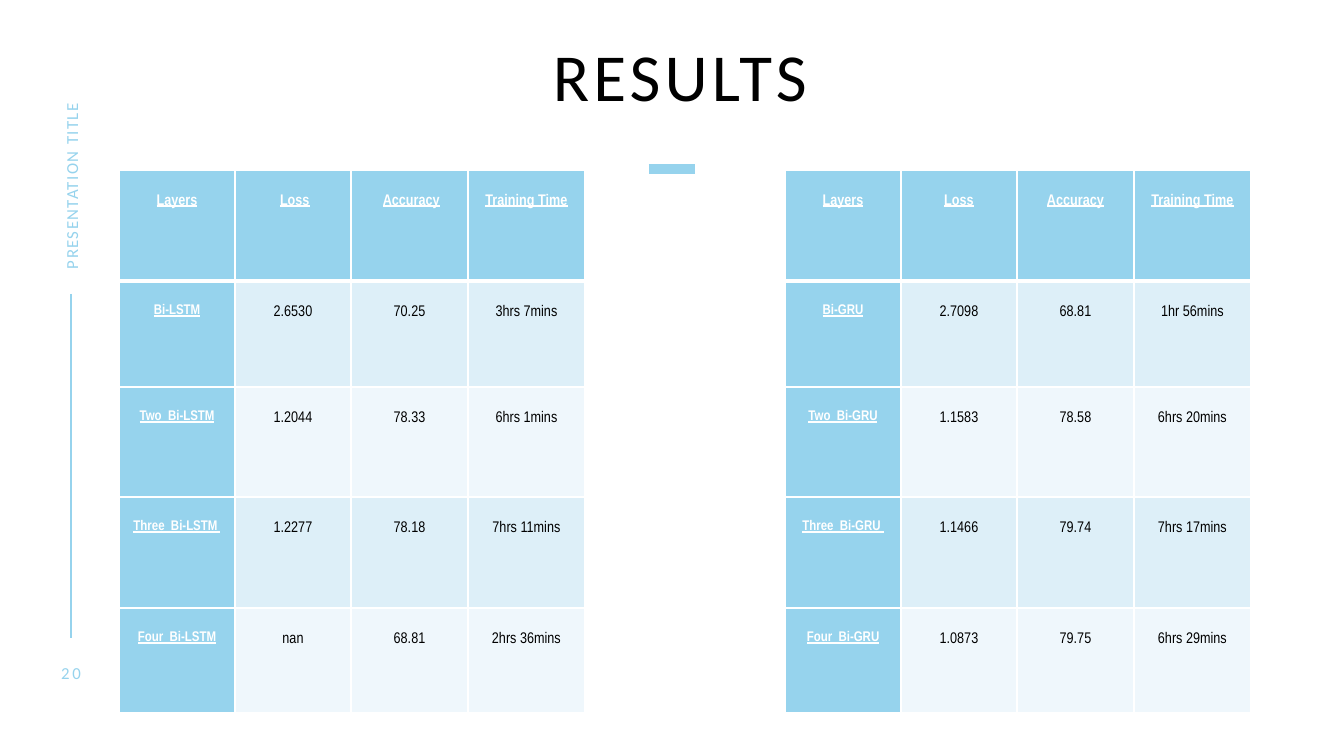
from lxml import etree
from pptx import Presentation
from pptx.dml.color import RGBColor
from pptx.enum.shapes import MSO_CONNECTOR
from pptx.enum.text import MSO_ANCHOR, PP_ALIGN
from pptx.oxml.ns import qn
from pptx.util import Emu, Pt

STRAIGHT = MSO_CONNECTOR.STRAIGHT
TOP, MIDDLE = MSO_ANCHOR.TOP, MSO_ANCHOR.MIDDLE
LEFT, CENTER = PP_ALIGN.LEFT, PP_ALIGN.CENTER

COLORS = {"accent": "96D3ED", "band": "DDEFF8", "pale": "EFF7FC",
          "white": "FFFFFF", "black": "000000"}

# text, box (x, y, w, h), rotation, alignment, anchor, letter spacing, line spacing, font
TEXTS = [
    ("20", (46, 663, 50, 20), 0, CENTER, MIDDLE, 2, 1.0,
     {"size": 12, "name": "Calibri", "color": "accent"}),
    ("PRESENTATION TITLE", (-27, 160, 197, 21), 270, LEFT, MIDDLE, 1, 1.0,
     {"size": 12, "name": "Calibri", "color": "accent"}),
    ("RESULTS", (462, 43, 436, 58), 0, CENTER, TOP, 3, 0.9,
     {"size": 48, "name": "Calibri", "color": "black"}),
]

# start x, start y, end x, end y, width in points
LINES = [(71, 294, 71, 638, 1), (649, 169, 695, 169, 7)]

# left edge of each table and its rows
TABLES = [
    (119, [
        ("Layers", " Loss", " Accuracy", "Training Time"),
        ("Bi-LSTM", "2.6530", "70.25", "3hrs 7mins"),
        ("Two_Bi-LSTM", "1.2044", "78.33", "6hrs 1mins"),
        ("Three_Bi-LSTM ", "1.2277", "78.18", "7hrs 11mins"),
        ("Four_Bi-LSTM", "nan", "68.81", "2hrs 36mins"),
    ]),
    (785, [
        ("Layers", "Loss", "Accuracy", "Training Time"),
        ("Bi-GRU", "2.7098", "68.81", "1hr 56mins"),
        ("Two_Bi-GRU", "1.1583", "78.58", "6hrs 20mins"),
        ("Three_Bi-GRU ", "1.1466", "79.74", "7hrs 17mins"),
        ("Four_Bi-GRU", "1.0873", "79.75", "6hrs 29mins"),
    ]),
]
TABLE_TOP = 170
COL_WIDTHS = [116, 116, 117, 117]
ROW_HEIGHTS = [111, 106, 110, 111, 105]
CELL_MARGINS = {"margin_left": 7, "margin_right": 7, "margin_top": 23, "margin_bottom": 0}

HEADER_FONT = {"size": 11, "name": "Arial Narrow", "color": "white", "bold": True, "underline": True}
LABEL_FONT = {**HEADER_FONT, "size": 10}
VALUE_FONT = {"size": 11, "name": "Arial Narrow", "color": "black", "bold": False}


def px(n):
    return Emu(round(n * 914400 / 100.8))


def rgb(name):
    return RGBColor.from_string(COLORS[name])


def add_run(p, text, font):
    r = p.add_run()
    r.text = text
    for key, value in font.items():
        if key == "color":
            r.font.color.rgb = rgb(value)
        else:
            setattr(r.font, key, Pt(value) if key == "size" else value)
    return r


def add_text(slide, text, box, rotation, align, anchor, spacing, leading, font):
    sp = slide.shapes.add_textbox(*map(px, box))
    sp.rotation = rotation
    tf = sp.text_frame
    tf.word_wrap = True
    tf.vertical_anchor = anchor
    for side in ("left", "right", "top", "bottom"):
        setattr(tf, f"margin_{side}", 0)
    p = tf.paragraphs[0]
    p.alignment = align
    p.line_spacing = leading
    r = add_run(p, text, font)
    r.font._element.set("spc", str(spacing * 100))


def add_line(slide, x1, y1, x2, y2, width):
    line = slide.shapes.add_connector(STRAIGHT, px(x1), px(y1), px(x2), px(y2))
    line.line.color.rgb = rgb("accent")
    line.line.width = Pt(width)
    etree.SubElement(line._element.spPr, qn("a:effectLst"))


def set_borders(cell, row):
    """White cell borders, thicker between the header and the body."""
    widths = {"L": 1, "R": 1, "T": 3 if row == 1 else 1, "B": 3 if row == 0 else 1}
    tc_pr = cell._tc.get_or_add_tcPr()
    for i, (side, width) in enumerate(widths.items()):
        ln = etree.Element(qn(f"a:ln{side}"), w=str(Pt(width)))
        fill = etree.SubElement(ln, qn("a:solidFill"))
        etree.SubElement(fill, qn("a:srgbClr"), val=COLORS["white"])
        tc_pr.insert(i, ln)


def fill_cell(cell, text, row, col):
    if row == 0:
        font, fill = HEADER_FONT, "accent"
    elif col == 0:
        font, fill = LABEL_FONT, "accent"
    else:
        font, fill = VALUE_FONT, "band" if row % 2 else "pale"
    for key, value in CELL_MARGINS.items():
        setattr(cell, key, px(value))
    cell.vertical_anchor = TOP
    cell.fill.solid()
    cell.fill.fore_color.rgb = rgb(fill)
    set_borders(cell, row)
    p = cell.text_frame.paragraphs[0]
    p.alignment = CENTER
    p.line_spacing = 1.07
    p.space_after = Pt(8)
    word = text.lstrip()
    if word != text:
        add_run(p, " ", {**font, "underline": False})
    add_run(p, word, font)


def add_results(slide, left, rows):
    frame = slide.shapes.add_table(len(rows), len(COL_WIDTHS), px(left), px(TABLE_TOP),
                                   px(sum(COL_WIDTHS)), px(sum(ROW_HEIGHTS)))
    table = frame.table
    for column, width in zip(table.columns, COL_WIDTHS):
        column.width = px(width)
    for i, (values, height) in enumerate(zip(rows, ROW_HEIGHTS)):
        table.rows[i].height = px(height)
        for j, value in enumerate(values):
            fill_cell(table.cell(i, j), value, i, j)


def main():
    prs = Presentation()
    prs.slide_width, prs.slide_height = px(1344), px(756)
    slide = prs.slides.add_slide(prs.slide_layouts[6])
    for line in LINES:
        add_line(slide, *line)
    for text in TEXTS:
        add_text(slide, *text)
    for left, rows in TABLES:
        add_results(slide, left, rows)
    prs.save("out.pptx")


if __name__ == "__main__":
    main()
